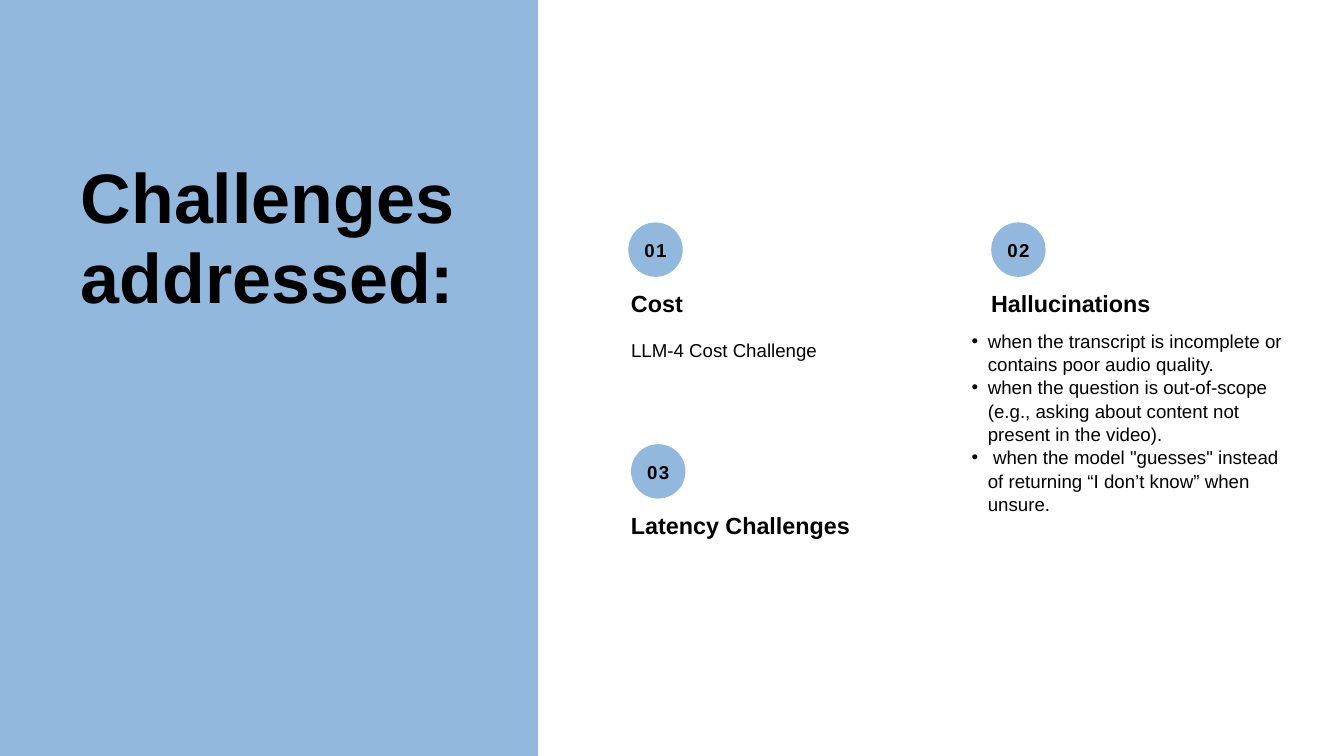
from lxml import etree
from pptx import Presentation
from pptx.dml.color import RGBColor
from pptx.enum import shapes, text
from pptx.oxml.ns import qn
from pptx.util import Inches, Pt

BLUE = RGBColor(0x92, 0xB8, 0xDD)
BLACK = RGBColor(0x00, 0x00, 0x00)
FONT = "Arial"
BADGE_SIZE = 0.81
LIST_ITEMS = [
    "when the transcript is incomplete or contains poor audio quality.",
    "when the question is out-of-scope (e.g., asking about content not present in the video).",
    " when the model \"guesses\" instead of returning “I don’t know” when unsure.",
]


def place(shape, left, top, width, height):
    shape.left, shape.top = Inches(left), Inches(top)
    shape.width, shape.height = Inches(width), Inches(height)


def write_text(shape, *lines, size=20, leading=25, bold=False,
               align=text.PP_ALIGN.LEFT, anchor=text.MSO_ANCHOR.TOP,
               tracking=0, bullet=None):
    frame = shape.text_frame
    frame.auto_size = text.MSO_AUTO_SIZE.NONE
    frame.word_wrap = True
    frame.vertical_anchor = anchor
    frame.margin_left = frame.margin_right = 0
    frame.margin_top = frame.margin_bottom = 0
    for index, line in enumerate(lines):
        paragraph = frame.add_paragraph() if index else frame.paragraphs[0]
        paragraph.alignment = align
        paragraph.line_spacing = Pt(leading)
        paragraph.space_before = paragraph.space_after = Pt(0)
        run = paragraph.add_run()
        run.text = line
        run.font.name = FONT
        run.font.size = Pt(size)
        run.font.bold = bold
        run.font.color.rgb = BLACK
        if tracking:
            run.font._element.set("spc", str(round(tracking * 100)))
        if bullet:
            paragraph.level = 1
            properties = paragraph._p.get_or_add_pPr()
            properties.set("marL", str(Inches(0.47)))
            properties.set("indent", str(Inches(-0.24)))
            etree.SubElement(properties, qn("a:buChar")).set("char", bullet)


def add_blue_shape(slide, kind, left, top, width, height):
    shape = slide.shapes.add_shape(
        kind, Inches(left), Inches(top), Inches(width), Inches(height))
    shape.shadow.inherit = False
    shape.fill.solid()
    shape.fill.fore_color.rgb = BLUE
    shape.line.fill.background()
    return shape


def add_text_box(slide, left, top, width, height, *lines, **style):
    box = slide.shapes.add_textbox(
        Inches(left), Inches(top), Inches(width), Inches(height))
    write_text(box, *lines, **style)


def add_title_panel(slide, width, height, heading):
    panel = add_blue_shape(
        slide, shapes.MSO_SHAPE.RECTANGLE, 0, 0, width, height)
    title = slide.shapes.title
    title.element.addprevious(panel.element)
    place(title, -0.35, 2.33, 7.11, 2.39)
    write_text(title, heading, size=75, leading=86.2, bold=True,
               align=text.PP_ALIGN.RIGHT)


def add_challenge(slide, left, top, number, heading, badge_shift=0):
    badge = add_blue_shape(slide, shapes.MSO_SHAPE.OVAL, left + badge_shift,
                           top, BADGE_SIZE, BADGE_SIZE)
    write_text(badge, number, bold=True, tracking=1.6,
               align=text.PP_ALIGN.CENTER, anchor=text.MSO_ANCHOR.MIDDLE)
    add_text_box(slide, left, top + 1.01, 4.33, 0.4, heading,
                 size=25, leading=28.7, bold=True)


def main():
    presentation = Presentation()
    presentation.slide_width = Inches(20)
    presentation.slide_height = Inches(11.25)
    slide = presentation.slides.add_slide(presentation.slide_layouts[1])

    add_title_panel(slide, 8.01, 11.25, "Challenges addressed:")

    add_challenge(slide, 9.39, 3.31, "01", "Cost", badge_shift=-0.04)
    add_text_box(slide, 9.39, 5.03, 4.02, 0.35, "LLM-4 Cost Challenge")
    add_challenge(slide, 14.75, 3.31, "02", "Hallucinations")
    add_challenge(slide, 9.39, 6.61, "03", "Latency Challenges")

    body = slide.placeholders[1]
    place(body, 14.23, 4.89, 5.01, 3.1)
    write_text(body, *LIST_ITEMS, bullet="•")

    presentation.save("out.pptx")


if __name__ == "__main__":
    main()
